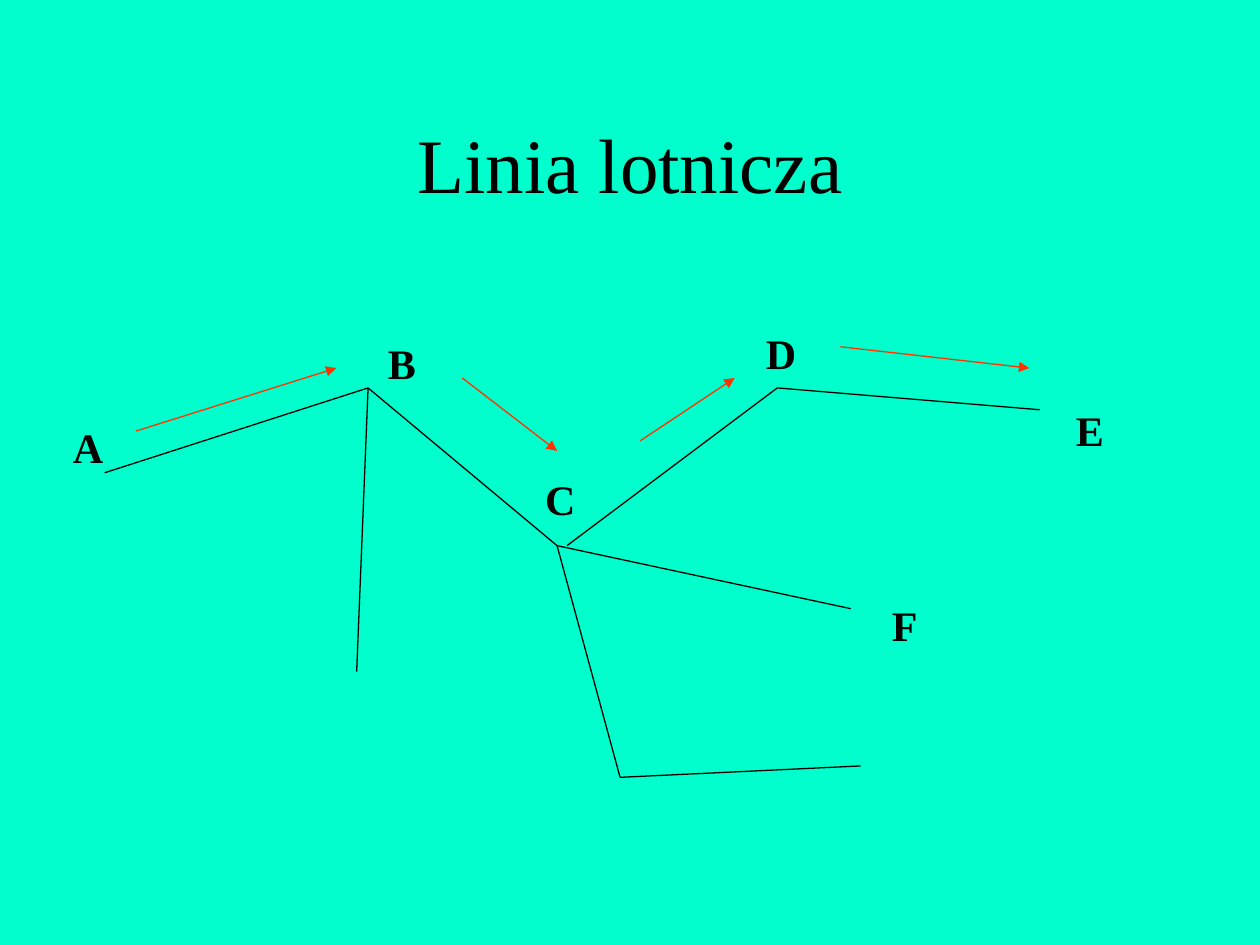
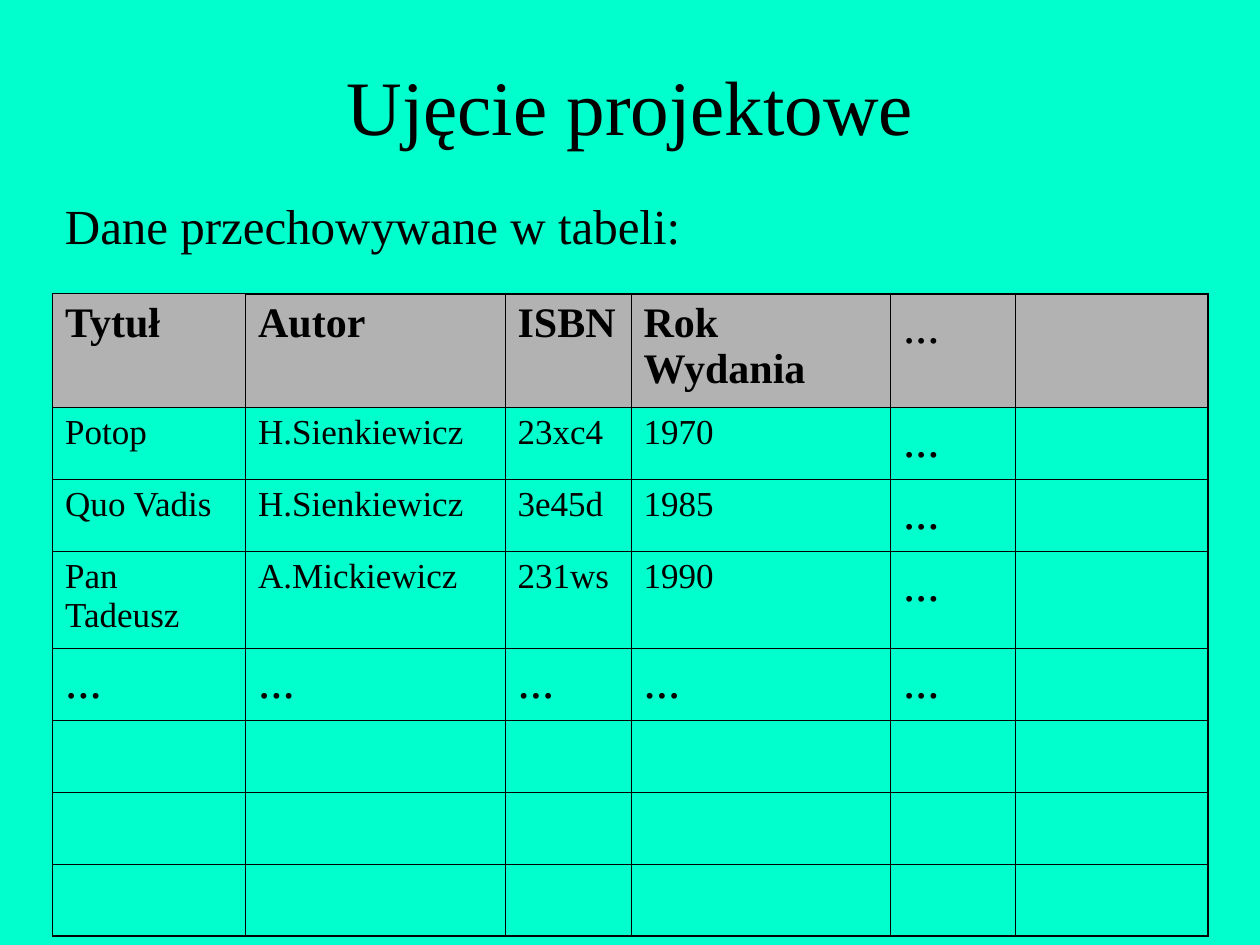
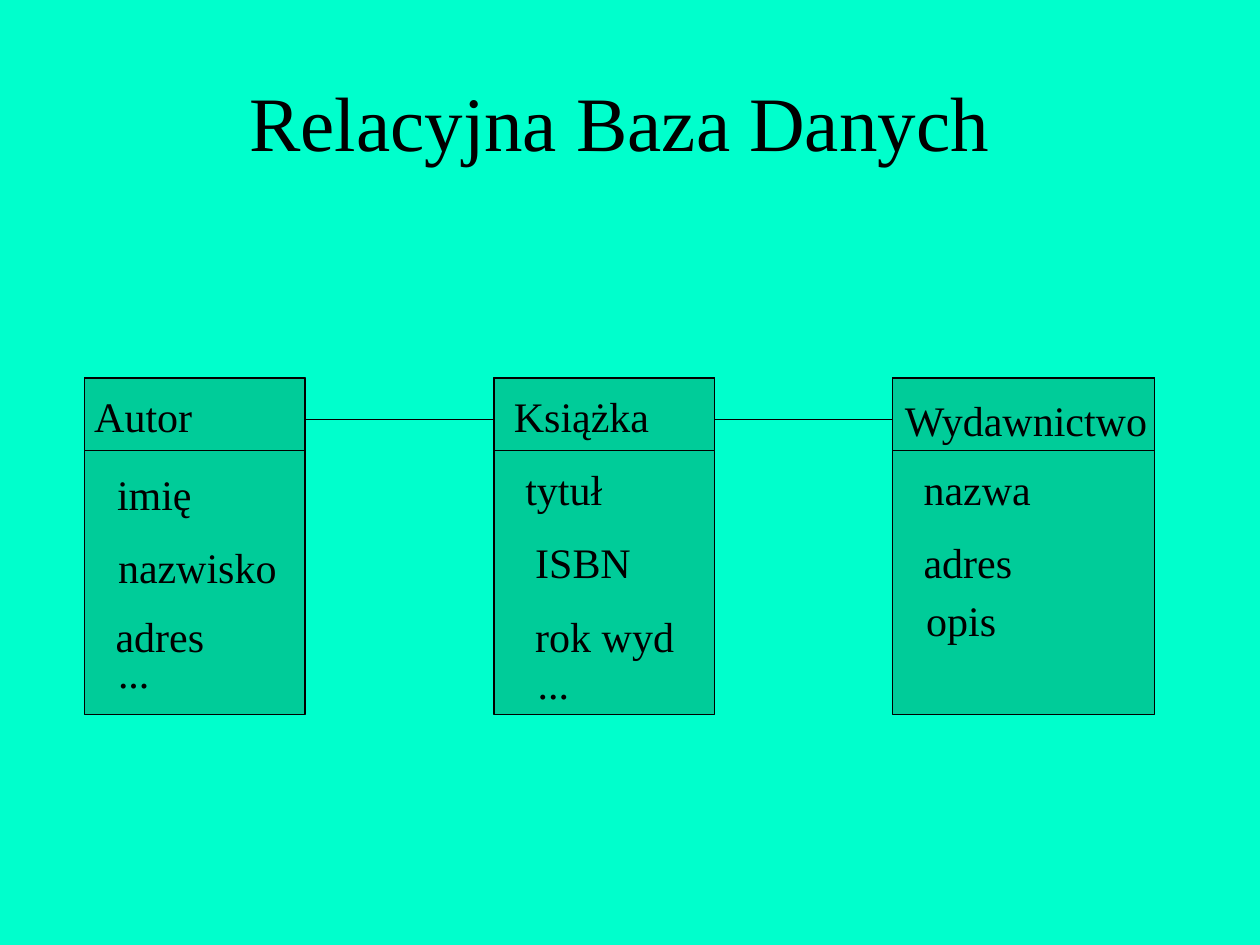
from itertools import pairwise

from lxml.etree import SubElement as Sub
from pptx import Presentation
from pptx.dml.color import RGBColor
from pptx.enum.shapes import MSO_CONNECTOR as Conn, MSO_SHAPE as Shape
from pptx.enum.text import MSO_ANCHOR as Anchor, MSO_AUTO_SIZE as Auto, PP_ALIGN as Align
from pptx.oxml.ns import qn
from pptx.util import Cm, Pt

FONT = "Times New Roman"
BLACK, RED, GREY = "000000", "FF3300", "B2B2B2"
MINT, GREEN = "00FFCC", "00CC99"
THIN, LINE, EDGE = 0.45, 0.75, 1.08
LABEL = 1.27
hue = RGBColor.from_string


def write(frame, text, size=24, bold=False, align=Align.LEFT, wrap=False):
    frame.word_wrap = wrap
    if not wrap:
        frame.auto_size = Auto.SHAPE_TO_FIT_TEXT
    par = frame.paragraphs[0]
    par.alignment = align
    run = par.add_run()
    run.text = text
    run.font.name, run.font.size, run.font.bold = FONT, Pt(size), bold
    run.font.color.rgb = hue(BLACK)


def link(slide, start, end, color=BLACK, arrow=False):
    line = slide.shapes.add_connector(Conn.STRAIGHT, *map(Cm, start + end))
    line.line.color.rgb = hue(color)
    line.line.width = Pt(LINE)
    props = line.element.spPr
    if arrow:
        Sub(props.find(qn("a:ln")), qn("a:tailEnd"), type="triangle")
    Sub(props, qn("a:effectLst"))


deck = Presentation()
deck.slide_width, deck.slide_height = Cm(25.4), Cm(19.05)
back = deck.slide_master.background.fill
back.solid()
back.fore_color.rgb = hue(MINT)

# Slides with their titles
slides = []
for title, left, top, high in [
    ("Linia lotnicza", 1.91, 1.7, 3.18),
    ("Ujęcie projektowe", 1.91, 0.84, 2.54),
    ("Relacyjna Baza Danych", 1.7, 0.84, 3.18),
]:
    slide = deck.slides.add_slide(deck.slide_layouts[6])
    box = slide.shapes.add_textbox(Cm(left), Cm(top), Cm(21.59), Cm(high))
    box.text_frame.vertical_anchor = Anchor.MIDDLE
    write(box.text_frame, title, size=44, align=Align.CENTER, wrap=True)
    slides.append(slide)
route, books, model = slides

# Flight network
a, b, c = (2.11, 9.53), (7.42, 7.82), (11.23, 11)
d, e, f = (15.67, 7.82), (20.96, 8.26), (17.15, 12.27)
south, bend, last = (7.19, 13.54), (12.5, 15.67), (17.35, 15.44)
for start, end in [
    ((11.43, 11), d), (c, b), (b, a), (c, bend),
    (d, e), (bend, last), (c, f), (b, south),
]:
    link(route, start, end)
for start, end in [
    ((2.74, 8.69), (6.78, 7.42)),
    ((9.32, 7.62), (11.23, 9.09)),
    ((12.9, 8.89), (14.81, 7.62)),
    ((16.94, 6.99), (20.75, 7.42)),
]:
    link(route, start, end, color=RED, arrow=True)
for name, left, top, wide in [
    ("A", 1.22, 8.38, 1.12), ("B", 7.57, 6.68, 1.07), ("C", 10.74, 9.42, 1.12),
    ("D", 15.19, 6.48, 1.12), ("E", 21.44, 8.03, 1.07), ("F", 17.73, 11.96, 1.02),
]:
    box = route.shapes.add_textbox(Cm(left), Cm(top), Cm(wide), Cm(LABEL))
    write(box.text_frame, name, bold=True)

# Book table
box = books.shapes.add_textbox(Cm(1.06), Cm(3.81), Cm(13), Cm(1.45))
write(box.text_frame, "Dane przechowywane w tabeli:", size=28)
wides = [3.89, 5.23, 2.54, 5.23, 2.51, 3.89]
highs = [2.29, 1.45, 1.45, 1.96, 1.45, 1.45, 1.45, 1.45]
data = [
    ["Tytuł", "Autor", "ISBN", "Rok Wydania", "..."],
    ["Potop", "H.Sienkiewicz", "23xc4", "1970", "..."],
    ["Quo Vadis", "H.Sienkiewicz", "3e45d", "1985", "..."],
    ["Pan Tadeusz", "A.Mickiewicz", "231ws", "1990", "..."],
    ["..."] * 5,
]
rows, cols = len(highs), len(wides)
table = books.shapes.add_table(
    rows, cols, Cm(1.06), Cm(5.92), Cm(sum(wides)), Cm(sum(highs))
).table
table.first_row = table.horz_banding = False
for col, wide in zip(table.columns, wides):
    col.width = Cm(wide)
for row, high in zip(table.rows, highs):
    row.height = Cm(high)
for i in range(rows):
    for j in range(cols):
        cell = table.cell(i, j)
        props = cell._tc.get_or_add_tcPr()
        sides = {"L": j == 0, "R": j == cols - 1, "T": i == 0, "B": i == rows - 1}
        for side, outer in sides.items():
            width = LINE if i == j == 0 else EDGE if outer else THIN
            edge = Sub(props, qn(f"a:ln{side}"), w=str(Pt(width)))
            Sub(Sub(edge, qn("a:solidFill")), qn("a:srgbClr"), val=BLACK)
        if i == 0:
            cell.fill.solid()
            cell.fill.fore_color.rgb = hue(GREY)
        else:
            cell.fill.background()
        if i < len(data) and j < len(data[i]):
            text = data[i][j]
            dots = text == "..."
            size = 28 if dots else 24 if i == 0 else 20
            write(cell.text_frame, text, size=size,
                  bold=i == 0 and not dots, wrap=True)

# Related entities: left, width, then texts with left, top, width
cards = [
    (1.7, 4.45, [
        ("Autor", 1.65, 7.75, 2.49), ("imię", 2.11, 9.32, 2.01),
        ("nazwisko", 2.13, 10.8, 3.71), ("adres", 2.08, 12.19, 2.29),
        ("...", 2.13, 12.9, 1.14),
    ]),
    (9.96, 4.45, [
        ("Książka", 10.11, 7.75, 3.23), ("tytuł", 10.34, 9.22, 2.06),
        ("ISBN", 10.54, 10.69, 2.44), ("rok wyd", 10.54, 12.19, 3.3),
        ("...", 10.59, 13.13, 1.14),
    ]),
    (17.99, 5.28, [
        ("Wydawnictwo", 17.99, 7.82, 5.44), ("nazwa", 18.37, 9.22, 2.67),
        ("adres", 18.37, 10.69, 2.29), ("opis", 18.42, 11.86, 1.95),
    ]),
]
for left, wide, texts in cards:
    group = model.shapes.add_group_shape()
    for high in (6.78, 1.47):
        rect = group.shapes.add_shape(
            Shape.RECTANGLE, Cm(left), Cm(7.62), Cm(wide), Cm(high))
        rect.shadow.inherit = False
        rect.fill.solid()
        rect.fill.fore_color.rgb = hue(GREEN)
        rect.line.color.rgb = hue(BLACK)
        rect.line.width = Pt(LINE)
    for text, x, y, span in texts:
        box = group.shapes.add_textbox(Cm(x), Cm(y), Cm(span), Cm(LABEL))
        write(box.text_frame, text)
for (left, wide, _), (right, _, _) in pairwise(cards):
    link(model, (left + wide, 8.46), (right, 8.46))

deck.save("out.pptx")
